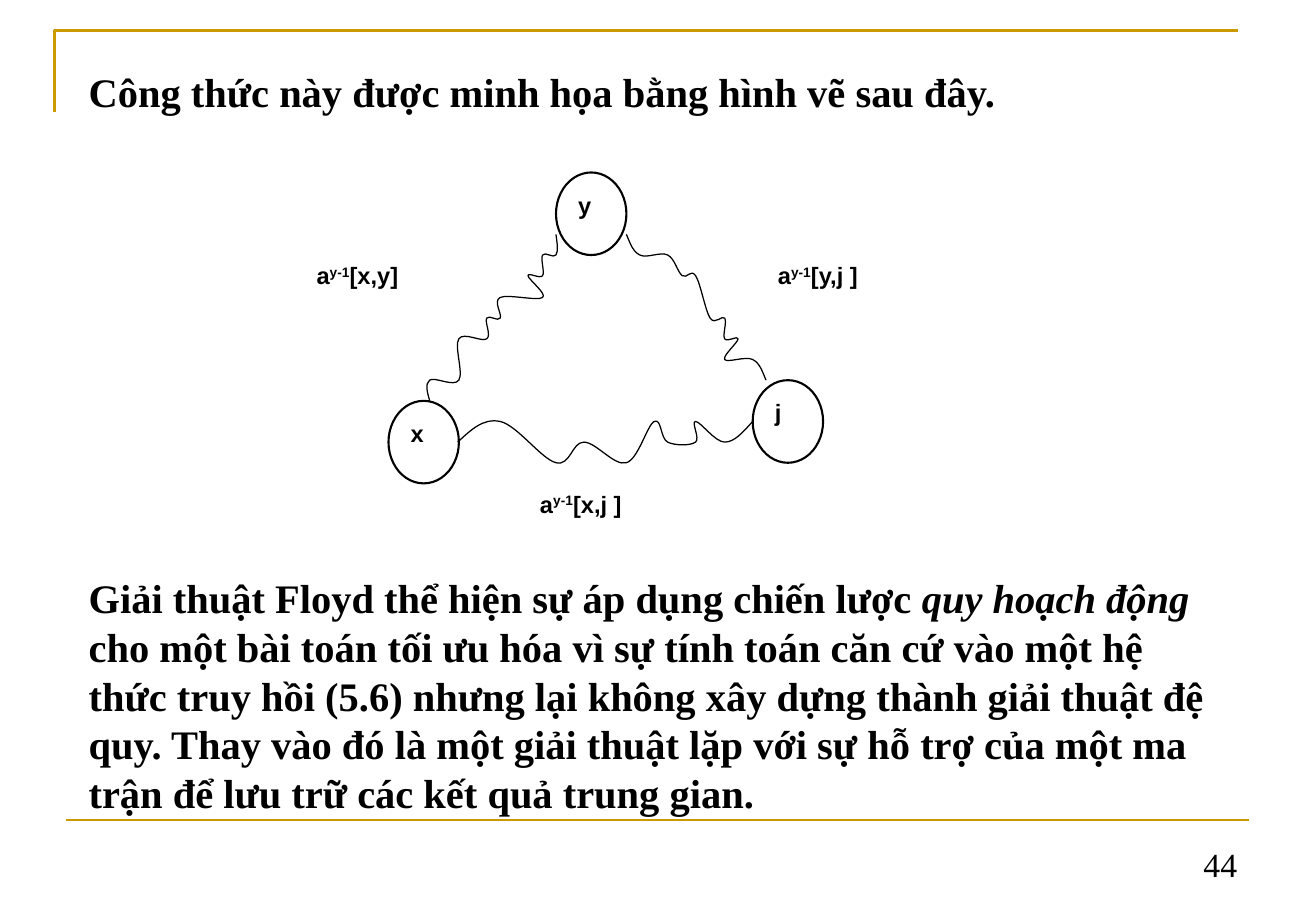
from dataclasses import dataclass

from lxml.etree import SubElement
from pptx import Presentation
from pptx.dml.color import RGBColor
from pptx.enum.shapes import MSO_CONNECTOR, MSO_SHAPE
from pptx.enum.text import MSO_ANCHOR, MSO_AUTO_SIZE, PP_ALIGN
from pptx.oxml.ns import qn
from pptx.util import Pt

PX = 9144  # 100 px to the inch


@dataclass(frozen=True)
class Theme:
    ink: RGBColor = RGBColor(0, 0, 0)
    paper: RGBColor = RGBColor(255, 255, 255)
    gold: RGBColor = RGBColor(0xCC, 0x99, 0)
    serif: str = "Times New Roman"
    sans: str = "Arial"
    text: int = 24
    number: int = 20
    label: int = 14
    frame_line: float = 1.5
    node_line: float = 1.25
    wave_line: float = 0.75


THEME = Theme()


def emu(*lengths):
    return [n * PX for n in lengths]


def set_line(s, color, width):
    s.line.color.rgb = color
    s.line.width = Pt(width)


def prepare(tf, anchor=MSO_ANCHOR.TOP):
    tf.word_wrap = True
    tf.auto_size = MSO_AUTO_SIZE.NONE
    tf.vertical_anchor = anchor
    tf.margin_left = tf.margin_right = 10 * PX
    tf.margin_top = tf.margin_bottom = 5 * PX


def write(p, parts, font, size, bold=True, align=PP_ALIGN.LEFT):
    """Fill a paragraph with runs in one style and return the runs."""
    p.alignment = align
    for part in parts:
        r = p.add_run()
        r.text = part
        r.font.name, r.font.size, r.font.bold = font, Pt(size), bold
        r.font.color.rgb = THEME.ink
    return p.runs


def place_text(s, box, parts):
    """Format a placeholder as a plain serif paragraph in the given box."""
    s.left, s.top, s.width, s.height = emu(*box)
    prepare(s.text_frame)
    p = s.text_frame.paragraphs[0]
    p.space_before = Pt(15)
    runs = write(p, parts, THEME.serif, THEME.text)
    pPr = p._p.get_or_add_pPr()
    pPr.set("marL", "0")
    pPr.set("indent", "0")
    SubElement(pPr, qn("a:buNone"))
    return runs


def add_frame(slide, x, y, w, h):
    corner = slide.shapes.build_freeform(x, y + 67, scale=PX)
    corner.add_line_segments([(x, y), (x + w, y)], close=False)
    s = corner.convert_to_shape()
    s.fill.background()
    s.shadow.inherit = False
    rule = slide.shapes.add_connector(
        MSO_CONNECTOR.STRAIGHT, *emu(x + 9, y + h, x + 9 + w, y + h))
    SubElement(rule._element.spPr, qn("a:effectLst"))
    for line in (s, rule):
        set_line(line, THEME.gold, THEME.frame_line)


def add_number(slide, box, number):
    s = slide.shapes.add_textbox(*emu(*box))
    prepare(s.text_frame, MSO_ANCHOR.BOTTOM)
    write(s.text_frame.paragraphs[0], [number], THEME.serif, THEME.number,
          bold=False, align=PP_ALIGN.RIGHT)


def add_block(slide, shape_type, box, parts):
    s = slide.shapes.add_shape(shape_type, *emu(*box))
    s.shadow.inherit = False
    s.fill.solid()
    s.fill.fore_color.rgb = THEME.paper
    s.line.fill.background()
    prepare(s.text_frame)
    write(s.text_frame.paragraphs[0], parts, THEME.sans, THEME.label)
    return s


def add_node(slide, x, y, name):
    s = add_block(slide, MSO_SHAPE.OVAL, (x, y, 58, 68), [name])
    set_line(s, THEME.ink, THEME.node_line)


def add_cost(slide, x, y, h, ends):
    s = add_block(slide, MSO_SHAPE.RECTANGLE, (x, y, 127, h), ["a", "y-1", ends])
    s.text_frame.paragraphs[0].runs[1].font._element.set("baseline", "30000")


def smooth_controls(knots):
    """Bézier points of a smooth curve that passes through the knots."""
    tangents = [((c[0] - a[0]) / 6, (c[1] - a[1]) / 6)
                for a, c in zip(knots, knots[2:])]
    before = [(k[0] - t[0], k[1] - t[1]) for k, t in zip(knots[1:], tangents)]
    after = [(k[0] + t[0], k[1] + t[1]) for k, t in zip(knots[1:], tangents)]

    def middle(a, b):
        return (a[0] + b[0]) / 2, (a[1] + b[1]) / 2

    leaving = [middle(knots[0], before[0])] + after
    arriving = before + [middle(after[-1], knots[-1])]
    return [pt for trio in zip(leaving, arriving, knots[1:]) for pt in trio]


def add_wave(slide, x, y, offsets):
    knots = [(x + dx, y + dy) for dx, dy in offsets]
    builder = slide.shapes.build_freeform(*knots[0], scale=PX)
    builder.add_line_segments(smooth_controls(knots), close=False)
    s = builder.convert_to_shape()
    s.fill.background()
    s.shadow.inherit = False
    set_line(s, THEME.ink, THEME.wave_line)
    outline = s._element.find(".//" + qn("a:path"))
    segments = outline.findall(qn("a:lnTo"))
    for i in range(0, len(segments), 3):
        curve = SubElement(outline, qn("a:cubicBezTo"))
        for segment in segments[i:i + 3]:
            curve.append(segment[0])
            outline.remove(segment)


def add_graph(slide, x, y):
    for dx, dy, name in [(207, 0, "y"), (69, 188, "x"), (369, 171, "j")]:
        add_node(slide, x + dx, y + dy, name)
    for dx, dy, h, ends in [(0, 68, 68, "[x,y]"), (380, 68, 68, "[y,j ]"),
                            (184, 256, 51, "[x,j ]")]:
        add_cost(slide, x + dx, y + dy, h, ends)
    waves = [
        [(126, 222), (161, 205), (207, 239), (230, 222), (265, 239), (288, 205),
         (299, 222), (322, 222), (322, 205), (346, 222), (369, 205)],
        [(103, 188), (103, 171), (127, 171), (127, 137), (150, 137), (150, 120),
         (161, 120), (161, 103), (196, 103), (184, 85), (196, 85), (196, 68),
         (207, 68), (207, 51)],
        [(265, 51), (276, 68), (299, 68), (311, 85), (322, 85), (334, 120),
         (346, 120), (346, 137), (357, 137), (346, 154), (369, 154), (380, 171)],
    ]
    for offsets in waves:
        add_wave(slide, x, y, offsets)


def build_slide(prs):
    slide = prs.slides.add_slide(prs.slide_layouts[1])
    add_frame(slide, 45, 25, 975, 650)
    add_number(slide, (776, 683, 253, 50), "44")
    add_graph(slide, 251, 142)
    title, body = slide.placeholders
    place_text(title, (63, 50, 966, 50),
               ["Công thức này được minh họa bằng hình vẽ sau đây."])
    runs = place_text(body, (63, 467, 948, 210), [
        "Giải thuật Floyd thể hiện sự áp dụng chiến lược ",
        "quy hoạch động",
        " cho một bài toán tối ưu hóa vì sự tính toán căn cứ vào một hệ thức "
        "truy hồi (5.6) nhưng lại không xây dựng thành giải thuật đệ quy. "
        "Thay vào đó là một giải thuật lặp với sự hỗ trợ của một ma trận để "
        "lưu trữ các kết quả trung gian."])
    runs[1].font.italic = True


def main():
    prs = Presentation()
    prs.slide_width, prs.slide_height = emu(1084, 750)
    build_slide(prs)
    prs.save("out.pptx")


if __name__ == "__main__":
    main()
